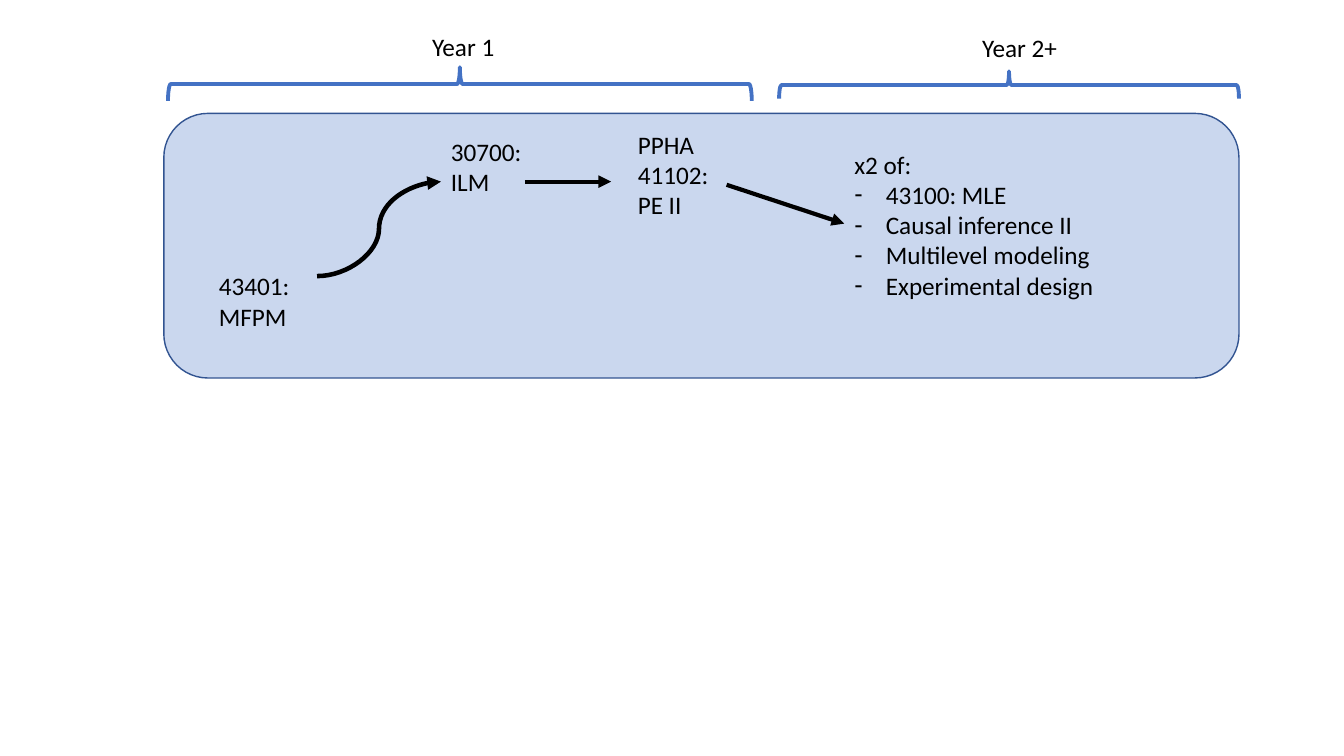
from dataclasses import dataclass

from lxml import etree
from pptx import Presentation
from pptx import util as u
from pptx.dml.color import RGBColor
from pptx.enum import shapes, text
from pptx.oxml import ns

PX = 9525


@dataclass(frozen=True)
class Theme:
    ink: str = "000000"
    accent: str = "4472C4"
    border: str = "325491"
    panel_opacity: int = 28
    font: str = "Calibri"
    size: int = 18
    border_width: float = 1
    brace_width: float = 2.75
    arrow_width: float = 3
    curve_width: float = 3.25


@dataclass(frozen=True)
class Box:
    x: int
    y: int
    w: int
    h: int

    def emu(self) -> tuple[int, int, int, int]:
        return self.x * PX, self.y * PX, self.w * PX, self.h * PX


@dataclass(frozen=True)
class Label:
    words: str
    box: Box


@dataclass(frozen=True)
class Arrow:
    start: tuple[int, int]
    end: tuple[int, int]
    kind: shapes.MSO_CONNECTOR
    width: float


THEME = Theme()
PANEL = Box(156, 108, 1024, 252)
COURSES = [
    Label("43401: MFPM", Box(199, 253, 96, 96)),
    Label("30700: ILM", Box(420, 125, 96, 96)),
    Label("PPHA 41102: PE II", Box(598, 118, 96, 126)),
]
ELECTIVES_BOX = Box(804, 137, 250, 213)
ELECTIVES = ["43100: MLE", "Causal inference II", "Multilevel modeling", "Experimental design"]
BRACES = [Box(160, 64, 556, 32), Box(742, 68, 438, 26)]
YEARS = [
    Label("Year 1", Box(402, 25, 180, 38)),
    Label("Year 2+", Box(926, 26, 180, 38)),
]
ARROWS = [
    Arrow((302, 263), (420, 173), shapes.MSO_CONNECTOR.CURVE, THEME.curve_width),
    Arrow((500, 173), (582, 173), shapes.MSO_CONNECTOR.STRAIGHT, THEME.arrow_width),
    Arrow((692, 176), (804, 213), shapes.MSO_CONNECTOR.STRAIGHT, THEME.arrow_width),
]


def set_line(sp, color: str, width: float) -> None:
    sp.line.color.rgb = RGBColor.from_string(color)
    sp.line.width = u.Pt(width)


def write(p, words: str, *, bullet: str = "", indent: int = 0) -> None:
    pPr = p._p.get_or_add_pPr()
    pPr.set("marL", str(indent * PX))
    pPr.set("indent", str(-indent * PX))
    p.space_before = u.Pt(0)
    if bullet:
        etree.SubElement(pPr, ns.qn("a:buChar"), char=bullet)
    else:
        etree.SubElement(pPr, ns.qn("a:buNone"))
    r = p.add_run()
    r.text = words
    r.font.name = THEME.font
    r.font.size = u.Pt(THEME.size)
    r.font.color.rgb = RGBColor.from_string(THEME.ink)


def fit_frame(sp):
    tf = sp.text_frame
    tf.word_wrap = True
    tf.auto_size = text.MSO_AUTO_SIZE.SHAPE_TO_FIT_TEXT
    return tf


def add_label(s, label: Label) -> None:
    sp = s.shapes.add_textbox(*label.box.emu())
    write(fit_frame(sp).paragraphs[0], label.words)


def add_panel(s) -> None:
    sp = s.shapes.add_shape(shapes.MSO_SHAPE.ROUNDED_RECTANGLE, *PANEL.emu())
    sp.shadow.inherit = False
    sp.fill.solid()
    sp.fill.fore_color.rgb = RGBColor.from_string(THEME.accent)
    color = sp._element.spPr.find(ns.qn("a:solidFill"))[0]
    etree.SubElement(color, ns.qn("a:alpha"), val=str(THEME.panel_opacity * 1000))
    set_line(sp, THEME.border, THEME.border_width)


def add_brace(s, box: Box) -> None:
    shift = (box.w - box.h) // 2
    upright = Box(box.x + shift, box.y - shift, box.h, box.w)
    sp = s.shapes.add_shape(shapes.MSO_SHAPE.RIGHT_BRACE, *upright.emu())
    sp.rotation = 270
    sp.shadow.inherit = False
    sp.fill.background()
    set_line(sp, THEME.accent, THEME.brace_width)


def add_arrow(s, arrow: Arrow) -> None:
    ends = [v * PX for v in (*arrow.start, *arrow.end)]
    sp = s.shapes.add_connector(arrow.kind, *ends)
    set_line(sp, THEME.ink, arrow.width)
    etree.SubElement(sp.line._get_or_add_ln(), ns.qn("a:tailEnd"), type="triangle")
    etree.SubElement(sp._element.spPr, ns.qn("a:effectLst"))


def add_electives(s) -> None:
    sp = s.placeholders[1]
    s.shapes._spTree.append(sp._element)
    sp.left, sp.top, sp.width, sp.height = ELECTIVES_BOX.emu()
    tf = fit_frame(sp)
    write(tf.paragraphs[0], "x2 of:")
    for course in ELECTIVES:
        write(tf.add_paragraph(), course, bullet="-", indent=30)


def main() -> None:
    prs = Presentation()
    prs.slide_width, prs.slide_height = 1280 * PX, 720 * PX
    s = prs.slides.add_slide(prs.slide_layouts[1])
    title = s.shapes.title._element
    title.getparent().remove(title)
    add_panel(s)
    for course in COURSES:
        add_label(s, course)
    add_electives(s)
    for brace in BRACES:
        add_brace(s, brace)
    for year in YEARS:
        add_label(s, year)
    for arrow in ARROWS:
        add_arrow(s, arrow)
    prs.save("out.pptx")


if __name__ == "__main__":
    main()
